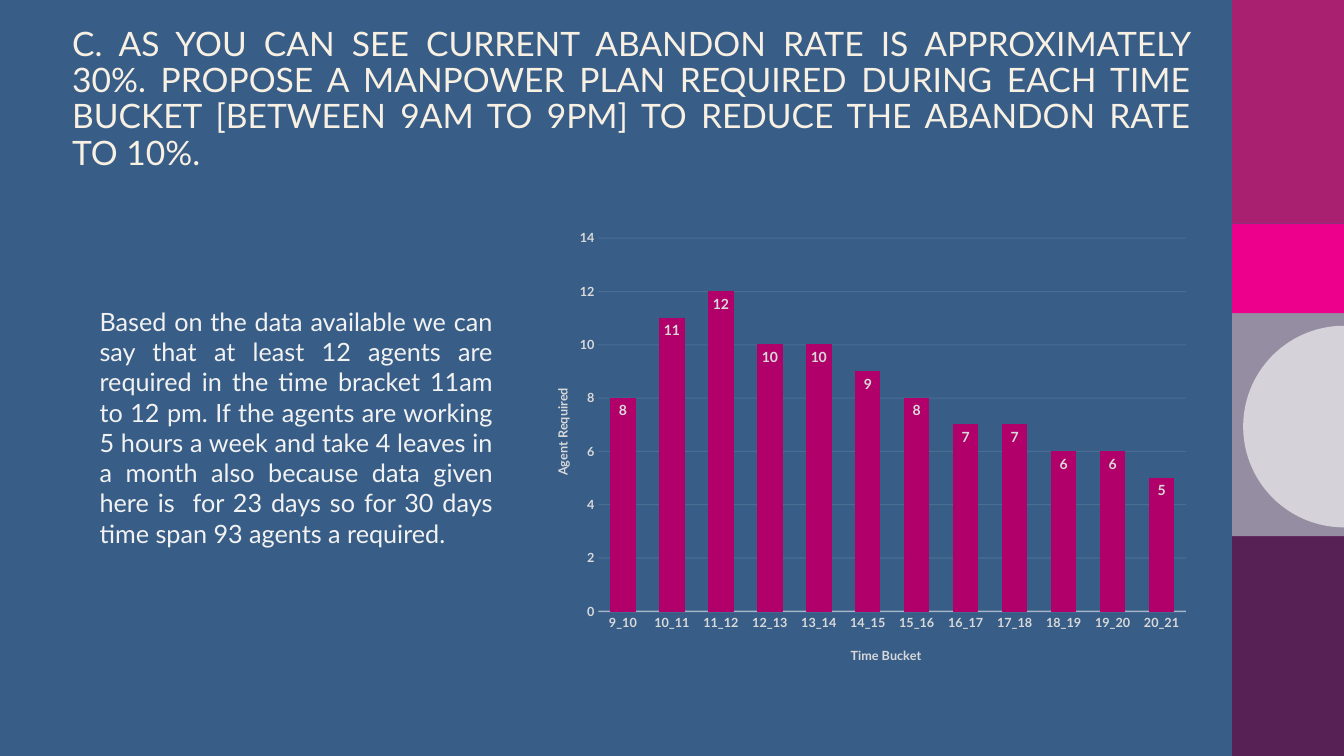
from math import cos, pi, sin
from lxml.etree import SubElement
from pptx import Presentation
from pptx.chart.data import CategoryChartData
from pptx.dml.color import RGBColor
from pptx.enum.chart import XL_CHART_TYPE, XL_LABEL_POSITION, XL_TICK_MARK
from pptx.enum.shapes import MSO_SHAPE
from pptx.enum.text import PP_ALIGN
from pptx.oxml import parse_xml
from pptx.oxml.ns import nsdecls, qn
from pptx.util import Cm, Pt


def paint(color_format, color):
    color_format.rgb = RGBColor.from_string(color)


def place(element, index, **fractions):
    for layout in element.xpath("c:layout"):
        element.remove(layout)
    target = '<c:layoutTarget val="inner"/>' if "w" in fractions else ""
    modes = "".join(f'<c:{key}Mode val="edge"/>' for key in "xy")
    values = "".join(f'<c:{key} val="{value}"/>' for key, value in fractions.items())
    element.insert(index, parse_xml(
        f'<c:layout {nsdecls("c")}><c:manualLayout>{target}{modes}{values}'
        "</c:manualLayout></c:layout>"))


presentation = Presentation()
presentation.slide_width = Cm(33.87)
presentation.slide_height = Cm(19.05)
slide = presentation.slides.add_slide(presentation.slide_layouts[6])
slide.background.fill.solid()
paint(slide.background.fill.fore_color, "385E88")

band_left, band_width = 31.05, 2.82
side_shapes = []
for top, height, color in [
    (13.5, 5.55, "582156"),
    (7.88, 5.63, "958EA2"),
    (0, 5.64, "AA2070"),
    (5.64, 2.25, "EC008C"),
]:
    band = slide.shapes.add_shape(
        MSO_SHAPE.RECTANGLE, Cm(band_left), Cm(top), Cm(band_width), Cm(height))
    side_shapes.append((band, color))

radius, center_x, center_y = 2.54, 33.87, 10.75
arc = [
    (Cm(center_x - radius * sin(pi * step / 60)), Cm(center_y - radius * cos(pi * step / 60)))
    for step in range(61)
]
builder = slide.shapes.build_freeform(*arc[0])
builder.add_line_segments(arc[1:], close=True)
side_shapes.append((builder.convert_to_shape(), "D5D2DA"))

for shape, color in side_shapes:
    shape.shadow.inherit = False
    shape.fill.solid()
    paint(shape.fill.fore_color, color)
    shape.line.fill.background()

title = (
    "C. AS YOU CAN SEE CURRENT ABANDON RATE IS APPROXIMATELY 30%. PROPOSE A MANPOWER PLAN "
    "REQUIRED DURING EACH TIME BUCKET [BETWEEN 9AM TO 9PM] TO REDUCE THE ABANDON RATE TO 10%. "
)
body = (
    "Based on the data available we can say that at least 12 agents are required in the time "
    "bracket 11am to 12 pm. If the agents are working 5 hours a week and take 4 leaves in a "
    "month also because data given here is  for 23 days so for 30 days time span 93 agents a "
    "required."
)
for text, box, size, color, spacing in [
    (title, (1.57, 0.56, 28.68, 3.58), 24, "F8F0E3", 0.9),
    (body, (2.26, 7.59, 10.41, 7.24), 18, "F2F2F2", 1.0),
]:
    text_frame = slide.shapes.add_textbox(*map(Cm, box)).text_frame
    text_frame.word_wrap = True
    paragraph = text_frame.paragraphs[0]
    paragraph.text = text
    paragraph.alignment = PP_ALIGN.JUSTIFY
    paragraph.line_spacing = spacing
    paragraph.font.name = "Lato"
    paragraph.font.size = Pt(size)
    paint(paragraph.font.color, color)

chart_data = CategoryChartData(number_format="0")
chart_data.categories = [f"{hour}_{hour + 1}" for hour in range(9, 21)]
chart_data.add_series("Series 1", [8, 11, 12, 10, 10, 9, 8, 7, 7, 6, 6, 5])
chart = slide.shapes.add_chart(
    XL_CHART_TYPE.COLUMN_CLUSTERED, Cm(13.21), Cm(5.54), Cm(17.02), Cm(11.61), chart_data).chart
chart.has_legend = False
chart.has_title = False
chart.font.name = "Lato"
chart.font.size = Pt(10)

plot = chart.plots[0]
plot.gap_width = 100
plot.overlap = -24
plot.vary_by_categories = False
series = plot.series[0]
series.format.fill.solid()
paint(series.format.fill.fore_color, "B10069")
paint(series.format.line.color, "B10069")
series.format.line.width = Pt(0.75)

plot.has_data_labels = True
labels = plot.data_labels
labels.show_value = True
labels.position = XL_LABEL_POSITION.INSIDE_END
labels.number_format = "0"
labels.number_format_is_linked = False

category_axis, value_axis = chart.category_axis, chart.value_axis
fonts = [(labels.font, 10)]
for axis, name in [(category_axis, "Time Bucket"), (value_axis, "Agent Required")]:
    axis.major_tick_mark = XL_TICK_MARK.NONE
    axis.minor_tick_mark = XL_TICK_MARK.NONE
    axis.axis_title.text_frame.text = name
    fonts += [(axis.tick_labels.font, 9), (axis.axis_title.text_frame.paragraphs[0].font, 9)]
for font, size in fonts:
    font.name = "Lato"
    font.size = Pt(size)
    font.bold = True
    paint(font.color, "D9D9D9")

value_axis.minimum_scale = 0
value_axis.maximum_scale = 14
value_axis.major_unit = 2
value_axis.tick_labels.number_format = "0"
value_axis.tick_labels.number_format_is_linked = False
value_axis.format.line.fill.background()
for line, width in [
    (category_axis.format.line, 1),
    (value_axis.major_gridlines.format.line, 0.75),
]:
    paint(line.color, "F2F2F2")
    line.width = Pt(width)

chart_xml = chart.element
for query, opacity in [("//c:catAx/c:spPr", 54), ("//c:majorGridlines/c:spPr", 10)]:
    line_color = chart_xml.xpath(f"{query}/a:ln/a:solidFill/a:srgbClr")[0]
    SubElement(line_color, qn("a:alpha")).set("val", str(opacity * 1000))

place(chart_xml.xpath("//c:plotArea")[0], 0, x=0.11, y=0.04, w=0.87, h=0.81)
place(chart_xml.xpath("//c:catAx/c:title")[0], 1, x=0.48, y=0.92)
value_title = chart_xml.xpath("//c:valAx/c:title")[0]
place(value_title, 1, x=0.04, y=0.36)
value_title.xpath("c:tx/c:rich/a:bodyPr")[0].set("rot", "-5400000")

presentation.save("out.pptx")
